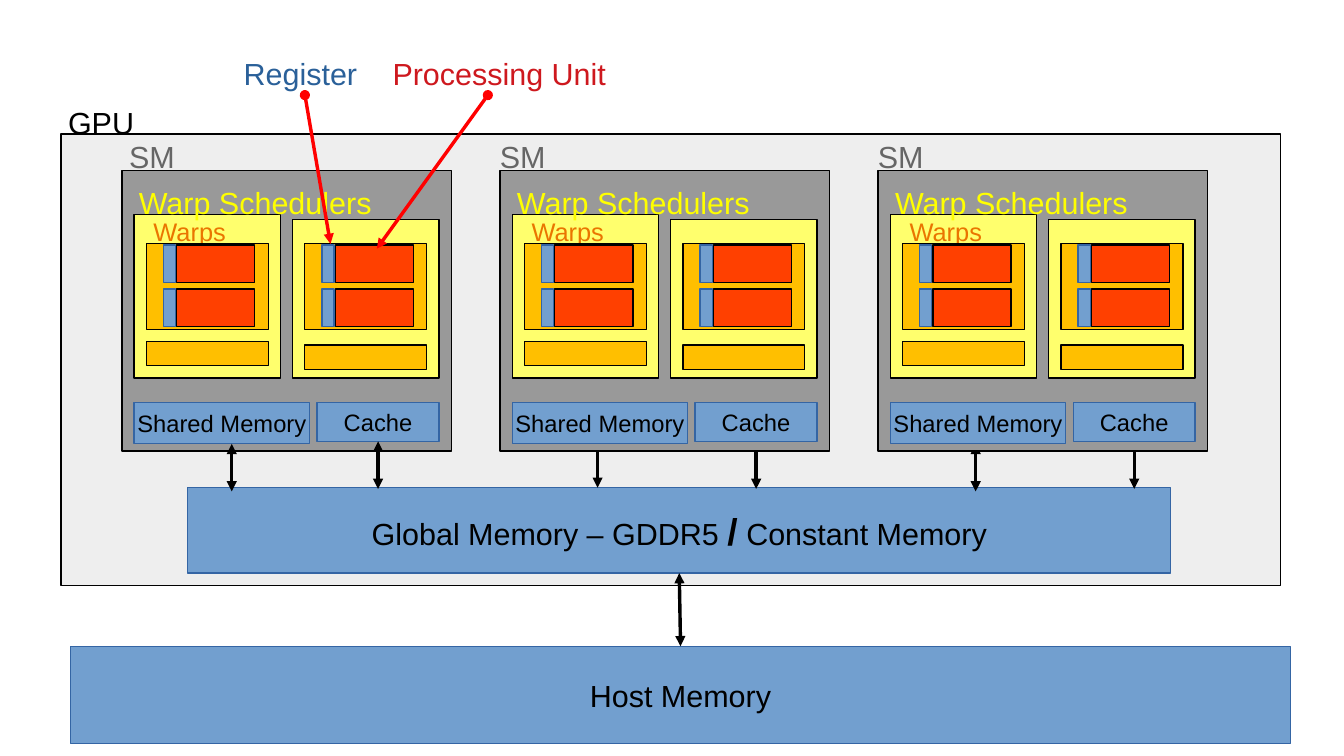
from lxml import etree
from pptx import Presentation
from pptx.dml.color import RGBColor
from pptx.enum.shapes import MSO_CONNECTOR, MSO_SHAPE
from pptx.enum.text import MSO_ANCHOR, MSO_AUTO_SIZE, PP_ALIGN
from pptx.oxml.ns import qn
from pptx.util import Inches, Pt

RECTANGLE = MSO_SHAPE.RECTANGLE
STRAIGHT = MSO_CONNECTOR.STRAIGHT
MIDDLE, TOP = MSO_ANCHOR.MIDDLE, MSO_ANCHOR.TOP
CENTER, LEFT = PP_ALIGN.CENTER, PP_ALIGN.LEFT
FIT_SHAPE = MSO_AUTO_SIZE.SHAPE_TO_FIT_TEXT
SIDE_TOP, SIDE_BOTTOM = 0, 2

CELL = Inches(0.1)
COLUMNS, ROWS = 110.2, 62
BLACK, BLUE, BLUE_EDGE = "000000", "729FCF", "3465A4"
PALE, GRAY, YELLOW = "EEEEEE", "999999", "FFFF6D"
AMBER, ORANGE, RED = "FFBF00", "FF4000", "FF0000"

SM_NAMES = ["SM1", "SM2", "SMn"]
SM_PITCH = 31
SM_BOX = (10, 14, 27, 23)
GPU_BOX = (5, 11, 100, 37)
HOST_BOX = (5.8, 53, 100, 8)
LABEL_HEIGHT = 3.8


def cells(*values):
    """Convert grid cells to slide lengths."""
    return [round(value * CELL) for value in values]


def color(value):
    """Turn a hex string into a colour."""
    return RGBColor.from_string(value)


def write(shape, spans, fill, align, anchor):
    """Write one line of (text, size, bold) spans into a shape."""
    frame = shape.text_frame
    settings = {"word_wrap": False, "vertical_anchor": anchor}
    for name, value in settings.items():
        setattr(frame, name, value)
    para = frame.paragraphs[0]
    para.alignment = align
    for text, size, bold in spans:
        span = para.add_run()
        span.text = text
        font_format = {"name": "Arial", "size": Pt(size), "bold": bold}
        for name, value in font_format.items():
            setattr(span.font, name, value)
        span.font.color.rgb = color(fill)


def add_block(shapes, box, fill, edge=BLACK, spans=()):
    """Add a hairline rectangle with optional centred text."""
    block = shapes.add_shape(RECTANGLE, *cells(*box))
    block.shadow.inherit = False
    block.fill.solid()
    block.fill.fore_color.rgb = color(fill)
    block.line.color.rgb = color(edge)
    block.line.width = 0
    if spans:
        write(block, spans, BLACK, CENTER, MIDDLE)
    return block


def add_label(shapes, left, top, width, text, fill, size=18):
    """Add a one-line label."""
    label = shapes.add_textbox(*cells(left, top, width, LABEL_HEIGHT))
    write(label, [(text, size, False)], fill, LEFT, TOP)
    label.text_frame.auto_size = FIT_SHAPE


def add_arrow(shapes, start, end, fill=BLACK, head="triangle"):
    """Add a hairline connector with a marker at both ends."""
    arrow = shapes.add_connector(STRAIGHT, *cells(*start, *end))
    arrow.line.color.rgb = color(fill)
    arrow.line.width = 0
    line = arrow.line._get_or_add_ln()
    for tag, kind in (("a:headEnd", head), ("a:tailEnd", "triangle")):
        etree.SubElement(line, qn(tag)).set("type", kind)
    etree.SubElement(arrow._element.spPr, qn("a:effectLst"))
    return arrow


def add_warp(shapes, left, top):
    """Add a warp holding two register and processing unit pairs."""
    add_block(shapes, (left, top, 10, 7), AMBER)
    for row in (0.1, 3.7):
        add_block(shapes, (left + 1.4, top + row, 1, 3.1), BLUE, BLUE_EDGE)
        add_block(shapes, (left + 2.5, top + row, 6.4, 3.1), ORANGE)


def add_multiprocessor(page, box):
    """Add one grouped multiprocessor and return its cache block."""
    left, top, width, height = box
    shapes = page.shapes.add_group_shape().shapes
    add_block(shapes, box, GRAY)
    add_block(shapes, (left + 1, top + 19, 14.4, 3.4), BLUE, BLUE_EDGE,
              [("Shared Memory", 14, False)])
    add_block(shapes, (left + 1, top + 3.6, 12, 13.4), YELLOW)
    add_label(shapes, left + 0.4, top + 0.6, 21.1, "Warp Schedulers", "FFFF00")
    add_block(shapes, (left + 14, top + 4, 12, 13), YELLOW)
    add_label(shapes, left + 1.6, top + 3.2, 9.1, "Warps", "EA7500", 15)
    for column, row in ((2, 14), (15, 14.3)):
        add_warp(shapes, left + column, top + 6)
        add_block(shapes, (left + column, top + row, 10, 2), AMBER)
    return add_block(shapes, (left + 16, top + 19, 10, 3.2), BLUE, BLUE_EDGE,
                     [("Cache", 14, False)])


def add_memory_links(page, box, shared_column, shared_row):
    """Link a multiprocessor to global memory and return the cache arrow."""
    left, top = box[:2]
    shared = left + shared_column, top + shared_row
    add_arrow(page.shapes, shared, (shared[0], shared[1] + 3.9))
    return add_arrow(page.shapes, (left + 21, top + 22.2),
                     (left + 21, top + 26.1))


def add_memories(page, gpu_box, host_box):
    """Add the GPU frame, global memory and host memory."""
    left, top = gpu_box[:2]
    add_block(page.shapes, gpu_box, PALE)
    host = add_block(page.shapes, host_box, BLUE, BLUE_EDGE,
                     [("Host Memory", 18, False)])
    memory = add_block(page.shapes, (left + 10.4, top + 29, 80.6, 7), BLUE,
                       BLUE_EDGE, [("Global Memory – GDDR5 ", 18, False),
                                   ("/", 22, True),
                                   (" Constant Memory", 18, False)])
    bus = add_arrow(page.shapes, (55.7, 47), (55.8, 53))
    bus.begin_connect(memory, SIDE_BOTTOM)
    bus.end_connect(host, SIDE_TOP)
    add_label(page.shapes, left - 0.4, top - 3, 7.4, "GPU", BLACK)


def add_multiprocessors(page, first_box):
    """Add the row of multiprocessors with names and memory links."""
    left, top, width, height = first_box
    boxes = [(left + SM_PITCH * index, top, width, height)
             for index in range(len(SM_NAMES))]
    for box, name in zip(boxes, SM_NAMES):
        shift = -0.4 if name == "SM1" else -1
        add_label(page.shapes, box[0] + shift, top - 3.2, 7.1, name, "666666")
    caches = [add_multiprocessor(page, boxes[0])]
    shared_ends = [(9, 22.4), (8, 22.1), (8, 22.4)]
    links = [add_memory_links(page, box, *end)
             for box, end in zip(boxes, shared_ends)]
    caches += [add_multiprocessor(page, box) for box in boxes[1:]]
    for link, cache in zip(links, caches):
        link.begin_connect(cache, SIDE_BOTTOM)


def add_callouts(page, box):
    """Point the register and processing unit names into a multiprocessor."""
    left, top = box[:2]
    callouts = [("Register", "2A6099", 9, 11.3, 15, (17.1, 6)),
                ("Processing Unit", "CE181E", 21.2, 19.5, 30, (20.9, 6.4))]
    for text, fill, column, width, start, (end, row) in callouts:
        add_label(page.shapes, left + column, top - 10, width, text, fill)
        add_arrow(page.shapes, (left + start, top - 6.2),
                  (left + end, top + row), RED, "oval")


def main():
    """Build the GPU memory slide."""
    deck = Presentation()
    deck.slide_width, deck.slide_height = cells(COLUMNS, ROWS)
    page = deck.slides.add_slide(deck.slide_layouts[6])
    add_memories(page, GPU_BOX, HOST_BOX)
    add_multiprocessors(page, SM_BOX)
    add_callouts(page, SM_BOX)
    deck.save("out.pptx")


if __name__ == "__main__":
    main()
